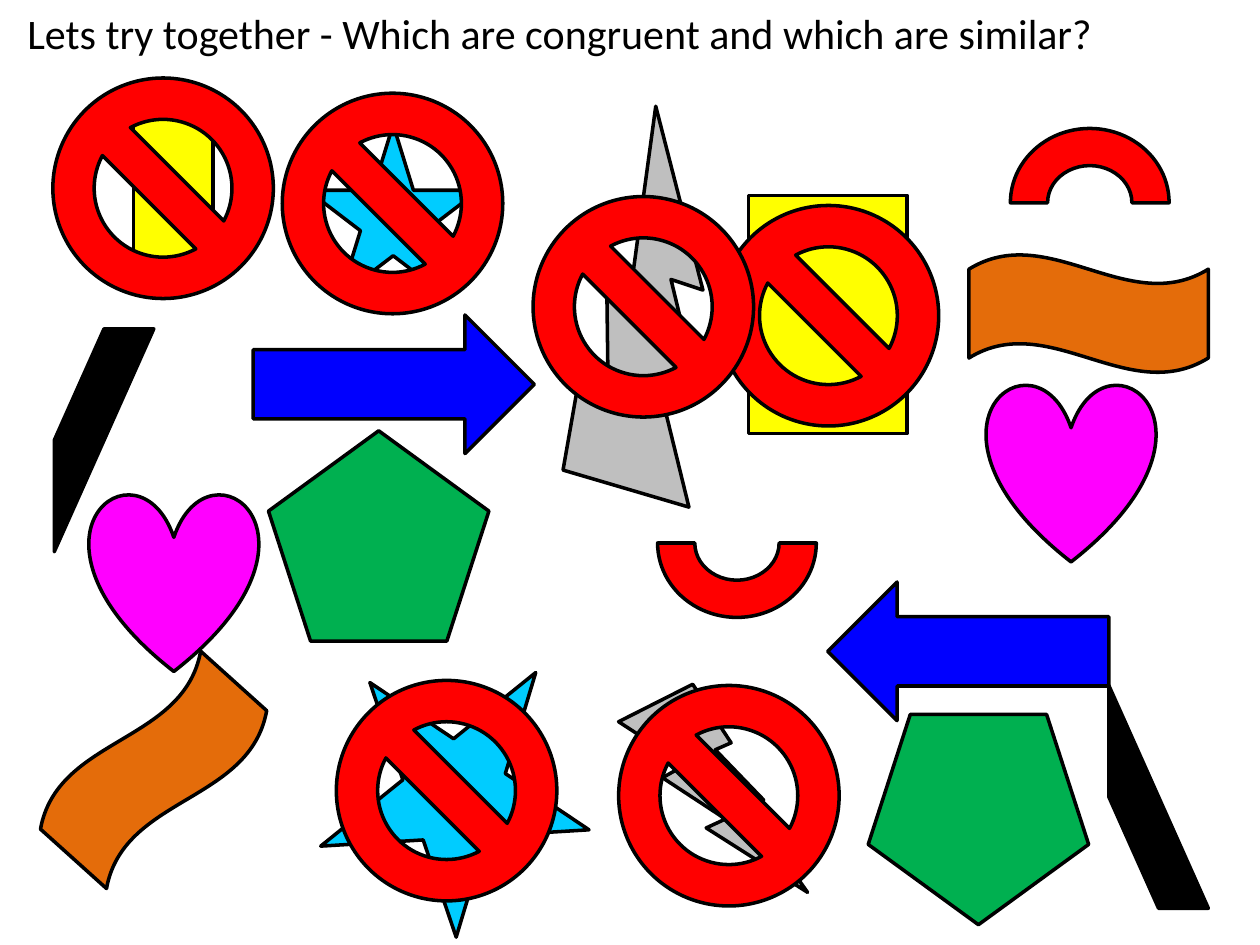
"""Build a slide of paired shapes for spotting congruence and similarity."""
from dataclasses import dataclass

from pptx import Presentation
from pptx.dml.color import RGBColor
from pptx.enum.shapes import MSO_SHAPE
from pptx.enum.text import MSO_AUTO_SIZE
from pptx.slide import Slide
from pptx.util import Pt

ARROW = MSO_SHAPE.RIGHT_ARROW
RECT = MSO_SHAPE.RECTANGLE
HEART = MSO_SHAPE.HEART
BOLT = MSO_SHAPE.LIGHTNING_BOLT
ARC = MSO_SHAPE.BLOCK_ARC
STRIPE = MSO_SHAPE.DIAGONAL_STRIPE
PENTA = MSO_SHAPE.REGULAR_PENTAGON
STAR = MSO_SHAPE.STAR_5_POINT
WAVE = MSO_SHAPE.WAVE
BAN = MSO_SHAPE.NO_SYMBOL
GROW = MSO_AUTO_SIZE.SHAPE_TO_FIT_TEXT

COLORS = {
    "black": "000000", "blue": "0000FF", "yellow": "FFFF00",
    "pink": "FF00FF", "grey": "BFBFBF", "red": "FF0000",
    "green": "00B050", "cyan": "00CCFF", "orange": "E46C0A",
}


@dataclass(frozen=True)
class Spot:
    left: float
    top: float
    turn: float = 0
    flip: bool = False
    scale: float = 1


@dataclass(frozen=True)
class Kind:
    shape: MSO_SHAPE
    color: str
    width: float
    height: float
    spots: tuple[Spot, ...]


KINDS = (
    Kind(ARROW, "blue", 160.6, 79.2,
         (Spot(144.7, 180), Spot(473, 332.6, turn=180))),
    Kind(RECT, "yellow", 90.7, 136.1, (Spot(427.7, 111.6),)),
    Kind(RECT, "yellow", 45.4, 97.9, (Spot(76.3, 58.3),)),
    Kind(HEART, "pink", 96.5, 102.2,
         (Spot(51.1, 281.5), Spot(563.8, 218.9))),
    Kind(BOLT, "grey", 108, 118.9,
         (Spot(353.5, 391), Spot(287.3, 93.6, turn=223.2, scale=1.58))),
    Kind(ARC, "red", 90.7, 85,
         (Spot(577.4, 73.4), Spot(375.8, 267.8, flip=True))),
    Kind(STRIPE, "black", 56.9, 127.4,
         (Spot(31, 187.9), Spot(633.6, 391.7, flip=True))),
    Kind(PENTA, "green", 126, 120.2,
         (Spot(153.4, 246.2), Spot(496.1, 408.2, turn=180))),
    Kind(STAR, "cyan", 98, 98,
         (Spot(175.7, 71.3), Spot(188.6, 371.5, turn=33.9, scale=1.54))),
    Kind(WAVE, "orange", 136.8, 67.7,
         (Spot(553.7, 145.4), Spot(19.4, 406.1, turn=312))),
    Kind(BAN, "red", 126, 126,
         (Spot(161.3, 53.3), Spot(192.2, 388.8), Spot(30.2, 44.6),
          Spot(410.4, 117.4), Spot(353.5, 391.7), Spot(304.6, 112.3))),
)


def paint(name: str) -> RGBColor:
    """Return the named colour."""
    return RGBColor.from_string(COLORS[name])


def draw(slide: Slide, kind: Kind, spot: Spot) -> None:
    """Draw one shape of a kind at its spot."""
    shape = slide.shapes.add_shape(
        kind.shape, Pt(spot.left), Pt(spot.top),
        Pt(kind.width * spot.scale), Pt(kind.height * spot.scale))
    shape.rotation = spot.turn
    shape.shadow.inherit = False
    shape.fill.solid()
    shape.fill.fore_color.rgb = paint(kind.color)
    shape.line.color.rgb = paint("black")
    shape.line.width = Pt(2)
    if spot.flip:
        shape._element.spPr.xfrm.set("flipV", "1")


def title(slide: Slide, text: str) -> None:
    """Write the question along the top."""
    box = slide.shapes.add_textbox(Pt(8.6), Pt(0.7), Pt(702.7), Pt(36))
    frame = box.text_frame
    for key, value in {"word_wrap": True, "auto_size": GROW}.items():
        setattr(frame, key, value)
    run = frame.paragraphs[0].add_run()
    run.text = text
    for key, value in {"name": "Calibri", "size": Pt(24)}.items():
        setattr(run.font, key, value)
    run.font.color.rgb = paint("black")


def main() -> None:
    """Build and save the slide."""
    deck = Presentation()
    deck.slide_width, deck.slide_height = Pt(720), Pt(540)
    slide = deck.slides.add_slide(deck.slide_layouts[6])
    for kind in KINDS:
        for spot in kind.spots:
            draw(slide, kind, spot)
    title(slide, "Lets try together - Which are congruent "
                 "and which are similar?")
    deck.save("out.pptx")


if __name__ == "__main__":
    main()
